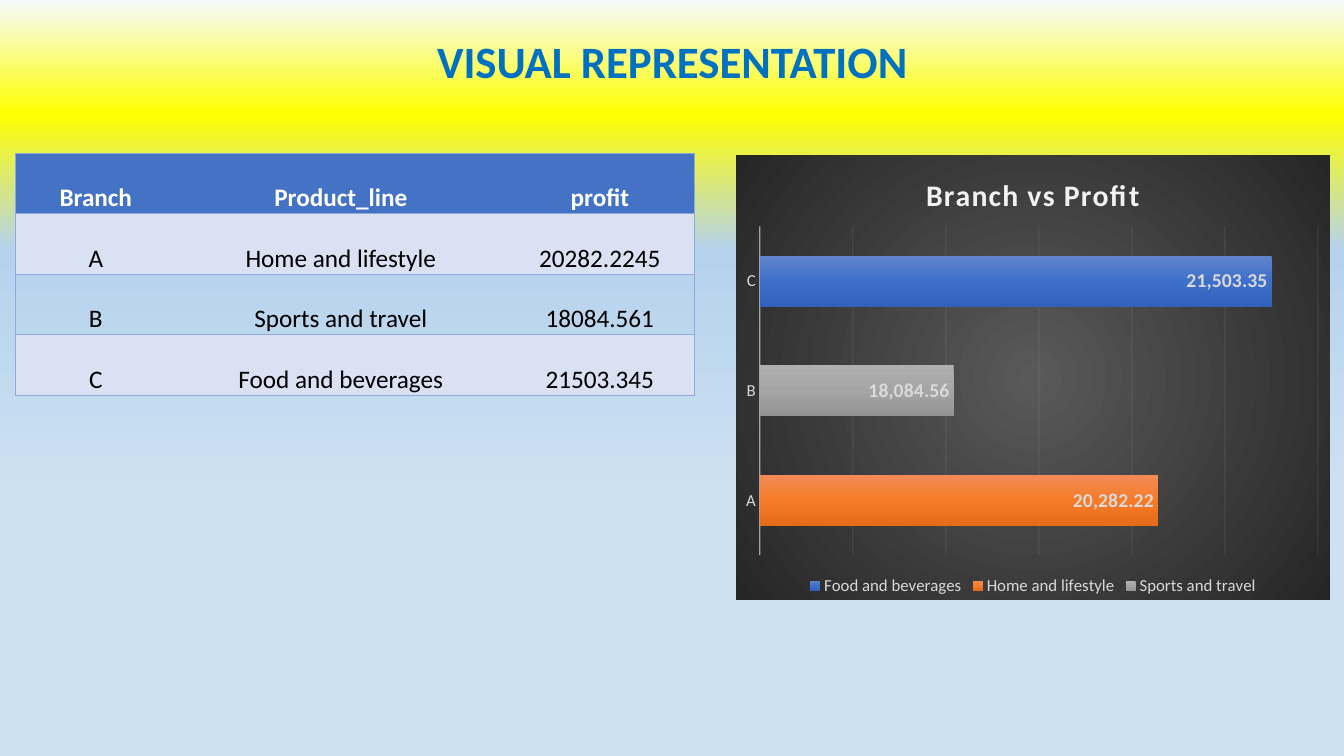
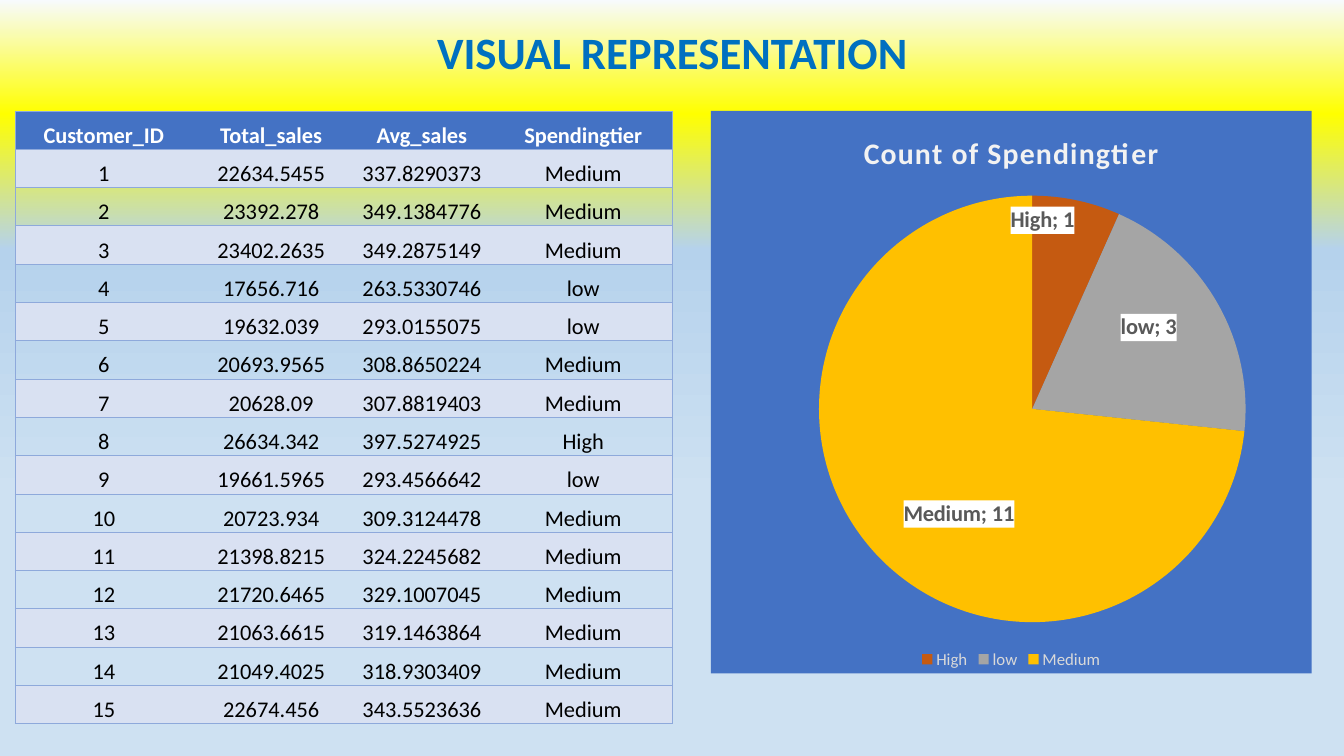
"""Builds two slides, each with a titled table beside a chart."""
import copy
from dataclasses import dataclass

import pptx
import pptx.chart.data
import pptx.dml.color
import pptx.enum.chart
import pptx.enum.text
import pptx.oxml
import pptx.oxml.ns
import pptx.util

Inches = pptx.util.Inches
Pt = pptx.util.Pt
ANCHOR = pptx.enum.text.MSO_ANCHOR
ALIGN = pptx.enum.text.PP_ALIGN
CHART = pptx.enum.chart.XL_CHART_TYPE
LABEL = pptx.enum.chart.XL_LABEL_POSITION


@dataclass(frozen=True)
class Theme:
    """Colours, gradients and type sizes of the deck."""
    font: str = "Calibri"
    title: str = "0070C0"
    blue: str = "4472C4"
    band: str = "D9E1F2"
    border: str = "8EA9DB"
    white: str = "FFFFFF"
    black: str = "000000"
    pale: str = "F2F2F2"
    legend: str = "D9D9D9"
    label: str = "595959"
    background: tuple = ((0, "F7FAFD"), (15, "FFFF00"), (33, "B5D2EC"), (66, "CEE1F2"))
    dark: tuple = ((0, "595959"), (100, "262626"))
    bars: tuple = (
        ((0, "6183CB"), (50, "3E70CA"), (100, "3062BB")),
        ((0, "F18C57"), (50, "F67B28"), (100, "E56C19")),
        ((0, "AFAFAF"), (50, "A5A5A5"), (100, "939393")),
    )
    slices: tuple = ("C55A11", "A5A5A5", "FFC000")
    title_size: float = 32
    chart_title_size: float = 21.3
    small_size: float = 12
    bar_label_size: float = 14
    pie_label_size: float = 16


T = Theme()


def rgb(color):
    """Return a colour object for a hex string."""
    return pptx.dml.color.RGBColor.from_string(color)


def xml(tag, body="", attrs=""):
    """Return a new element with the drawing and chart namespaces."""
    names = pptx.oxml.ns.nsdecls("a", "c")
    return pptx.oxml.parse_xml(f"<{tag} {names} {attrs}>{body}</{tag}>")


def style_font(font, size, color, bold=False):
    """Set the face, size, colour and weight of a font."""
    font.name, font.size, font.bold = T.font, Pt(size), bold
    font.color.rgb = rgb(color)


def solid(color):
    """Return the markup of a solid fill."""
    return f'<a:solidFill><a:srgbClr val="{color}"/></a:solidFill>'


def gradient(stops, circular=False):
    """Return the markup of a vertical or circular gradient fill."""
    gs = "".join(f'<a:gs pos="{pos * 1000}"><a:srgbClr val="{color}"/></a:gs>'
                 for pos, color in stops)
    shade = '<a:lin ang="5400000" scaled="0"/>'
    if circular:
        shade = ('<a:path path="circle"><a:fillToRect l="50000" t="50000" '
                 'r="50000" b="50000"/></a:path>')
    return f'<a:gradFill rotWithShape="1"><a:gsLst>{gs}</a:gsLst>{shade}</a:gradFill>'


def set_gradient(fill, props, stops):
    """Give a shape property element a gradient fill."""
    fill.solid()
    old = props.find(pptx.oxml.ns.qn("a:solidFill"))
    props.replace(old, pptx.oxml.parse_xml(
        gradient(stops).replace("<a:gradFill", "<a:gradFill " + pptx.oxml.ns.nsdecls("a"), 1)))


def set_line(line, color, width, element, opacity):
    """Format a chart line with partial opacity."""
    line.color.rgb = rgb(color)
    line.width = Pt(width)
    for clr in element.xpath("./c:spPr/a:ln//a:srgbClr"):
        clr.append(xml("a:alpha", attrs=f'val="{opacity * 1000}"'))


def add_titled_slide(prs, text, top):
    """Add a title-only slide with the shared title style."""
    s = prs.slides.add_slide(prs.slide_layouts[5])
    sp = s.shapes.title
    sp.left, sp.top, sp.width, sp.height = map(Inches, (0.92, top, 11.5, 0.68))
    tf = sp.text_frame
    tf.text = text
    tf.vertical_anchor = ANCHOR.MIDDLE
    p = tf.paragraphs[0]
    p.alignment, p.line_spacing = ALIGN.CENTER, 0.9
    style_font(p.runs[0].font, T.title_size, T.title, True)
    return s


def style_cell(cell, text, size, header, banded, sides):
    """Fill in one table cell and draw the given borders."""
    cell.text_frame.text = text
    cell.vertical_anchor = ANCHOR.BOTTOM
    cell.margin_left = cell.margin_right = cell.margin_top = Inches(0.01)
    cell.margin_bottom = 0
    p = cell.text_frame.paragraphs[0]
    p.alignment = ALIGN.CENTER
    style_font(p.runs[0].font, size, T.white if header else T.black, header)
    if header or banded:
        cell.fill.solid()
        cell.fill.fore_color.rgb = rgb(T.blue if header else T.band)
    else:
        cell.fill.background()
    props = cell._tc.get_or_add_tcPr()
    for i, side in enumerate(sides):
        props.insert(i, xml(f"a:ln{side}", solid(T.border), f'w="{Pt(0.5)}"'))


def add_data_table(s, left, top, widths, row_height, rows, size):
    """Place a table with a header row and alternating bands."""
    frame = s.shapes.add_table(len(rows), len(widths), Inches(left), Inches(top),
                               Inches(sum(widths)), Inches(row_height * len(rows)))
    table = frame.table
    table.horz_banding = False
    style = table._tbl.xpath("./a:tblPr/a:tableStyleId")[0]
    style.text = "{2D5ABB26-0587-4C30-8999-92F81FD0307C}"
    for column, width in zip(table.columns, widths):
        column.width = Inches(width)
    for i, row in enumerate(rows):
        table.rows[i].height = Inches(row_height)
        for j, text in enumerate(row):
            sides = ("L" if j == 0 else "") + ("R" if j == len(row) - 1 else "") + "TB"
            style_cell(table.cell(i, j), text, size, i == 0, i % 2 == 1, sides)


def manual_layout(x, y, w=None, h=None):
    """Return a chart layout, of a plot when a size is given or of a label offset."""
    body = f'<c:x val="{x}"/><c:y val="{y}"/>'
    if w is not None:
        body = ('<c:layoutTarget val="inner"/><c:xMode val="edge"/><c:yMode val="edge"/>'
                f'{body}<c:w val="{w}"/><c:h val="{h}"/>')
    return xml("c:layout", f"<c:manualLayout>{body}</c:manualLayout>")


def add_styled_chart(s, kind, box, data, title, fill, plot_box):
    """Place a chart with the shared title, legend and area style."""
    chart = s.shapes.add_chart(kind, *map(Inches, box), data).chart
    style_font(chart.font, T.small_size, T.legend)
    chart.has_title = True
    tf = chart.chart_title.text_frame
    tf.text = title
    r = tf.paragraphs[0].runs[0]
    style_font(r.font, T.chart_title_size, T.pale, True)
    r._r.get_or_add_rPr().set("spc", "100")
    chart.has_legend = True
    chart.legend.position = pptx.enum.chart.XL_LEGEND_POSITION.BOTTOM
    chart.legend.include_in_layout = False
    style_font(chart.legend.font, T.small_size, T.legend)
    area = chart.element.xpath("./c:chart")[0]
    area.addnext(xml("c:spPr", fill + "<a:ln><a:noFill/></a:ln>"))
    plot_area = area.xpath("./c:plotArea")[0]
    for old in plot_area.xpath("./c:layout"):
        plot_area.remove(old)
    plot_area.insert(0, manual_layout(*plot_box))
    return chart


def add_profit_chart(s, box):
    """Place the stacked bars of profit by branch."""
    data = pptx.chart.data.CategoryChartData()
    data.categories = ["A", "B", "C"]
    data.add_series("Food and beverages", (None, None, 21503.35))
    data.add_series("Home and lifestyle", (20282.22, None, None))
    data.add_series("Sports and travel", (None, 18084.56, None))
    chart = add_styled_chart(s, CHART.BAR_STACKED, box, data, "Branch vs Profit",
                             gradient(T.dark, True), (0.04, 0.16, 0.94, 0.74))
    plot = chart.plots[0]
    plot.gap_width, plot.overlap = 115, 100
    plot.vary_by_categories = False
    for ser, stops in zip(plot.series, T.bars):
        fill = ser.format.fill
        set_gradient(fill, ser._element.xpath("./c:spPr")[0], stops)
        labels = ser.data_labels
        labels.show_value = True
        labels.position = LABEL.INSIDE_END
        labels.number_format, labels.number_format_is_linked = "#,##0.00", False
        style_font(labels.font, T.bar_label_size, T.legend, True)
    none = pptx.enum.chart.XL_TICK_MARK.NONE
    axis = chart.category_axis
    axis.major_tick_mark = axis.minor_tick_mark = none
    style_font(axis.tick_labels.font, T.small_size, T.legend)
    set_line(axis.format.line, T.pale, 1, chart.element.xpath(".//c:catAx")[0], 54)
    axis = chart.value_axis
    axis.minimum_scale, axis.maximum_scale, axis.major_unit = 16000, 22000, 1000
    axis.visible = False
    line = axis.major_gridlines.format.line
    set_line(line, T.pale, 0.75, chart.element.xpath(".//c:majorGridlines")[0], 10)


def add_tier_chart(s, box):
    """Place the pie of customers by spending tier."""
    data = pptx.chart.data.CategoryChartData()
    data.categories = ["High", "low", "Medium"]
    data.add_series("Count of Spendingtier", (1, 3, 11))
    chart = add_styled_chart(s, CHART.PIE, box, data, "Count of Spendingtier",
                             solid(T.blue), (0.18, 0.15, 0.71, 0.76))
    plot = chart.plots[0]
    plot.vary_by_categories = True
    ser = plot.series[0]
    for i, color in enumerate(T.slices):
        fill = ser.points[i].format.fill
        fill.solid()
        fill.fore_color.rgb = rgb(color)
    labels = ser.data_labels
    labels.show_value = labels.show_category_name = True
    labels.position = LABEL.CENTER
    style_font(labels.font, T.pie_label_size, T.label, True)
    group = labels._element
    group.xpath("./c:txPr")[0].addprevious(xml("c:spPr", solid(T.white)))
    group.xpath("./c:showBubbleSize")[0].addnext(xml("c:separator", "; "))
    shared = [e for e in group if not e.tag.endswith("showLeaderLines")]
    for i, offset in enumerate(((-0.02, -0.15), (0.04, -0.05), (0.01, 0.06))):
        label = xml("c:dLbl", f'<c:idx val="{i}"/>')
        label.append(manual_layout(*offset))
        for e in shared:
            label.append(copy.deepcopy(e))
        group.insert(i, label)


PROFITS = [
    ("Branch", "Product_line", "profit"),
    ("A", "Home and lifestyle", "20282.2245"),
    ("B", "Sports and travel", "18084.561"),
    ("C", "Food and beverages", "21503.345"),
]
CUSTOMERS = [
    ("22634.5455", "337.8290373", "Medium"),
    ("23392.278", "349.1384776", "Medium"),
    ("23402.2635", "349.2875149", "Medium"),
    ("17656.716", "263.5330746", "low"),
    ("19632.039", "293.0155075", "low"),
    ("20693.9565", "308.8650224", "Medium"),
    ("20628.09", "307.8819403", "Medium"),
    ("26634.342", "397.5274925", "High"),
    ("19661.5965", "293.4566642", "low"),
    ("20723.934", "309.3124478", "Medium"),
    ("21398.8215", "324.2245682", "Medium"),
    ("21720.6465", "329.1007045", "Medium"),
    ("21063.6615", "319.1463864", "Medium"),
    ("21049.4025", "318.9303409", "Medium"),
    ("22674.456", "343.5523636", "Medium"),
]


def main():
    """Build and save the deck."""
    prs = pptx.Presentation()
    prs.slide_width, prs.slide_height = Inches(13.33), Inches(7.5)
    master = prs.slide_master
    fill = master.background.fill
    set_gradient(fill, master.element.xpath(".//p:bgPr")[0], T.background)

    s = add_titled_slide(prs, "VISUAL REPRESENTATION", 0.29)
    add_profit_chart(s, (7.3, 1.54, 5.89, 4.41))
    add_data_table(s, 0.15, 1.52, (1.6, 3.26, 1.88), 0.6, PROFITS, 18)

    s = add_titled_slide(prs, "VISUAL REPRESENTATION", 0.21)
    rows = [("Customer_ID", "Total_sales", "Avg_sales", "Spendingtier")]
    rows += [(str(i), *row) for i, row in enumerate(CUSTOMERS, 1)]
    add_data_table(s, 0.15, 1.1, (1.76, 1.56, 1.43, 1.77), 0.38, rows, 16)
    add_tier_chart(s, (7.05, 1.1, 5.96, 5.58))
    prs.save("out.pptx")


if __name__ == "__main__":
    main()
